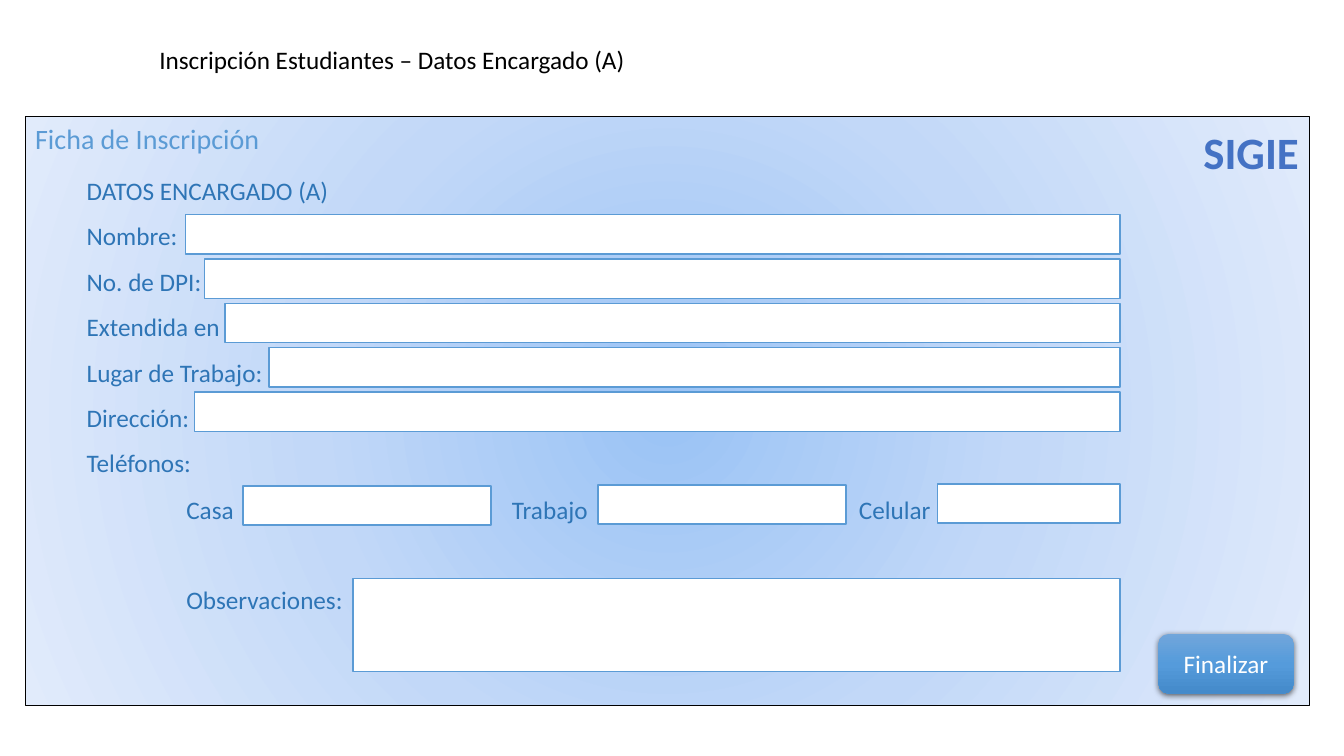
from lxml import etree
from pptx import Presentation
from pptx import util as u
from pptx.dml.color import RGBColor
from pptx.enum import shapes, text
from pptx.oxml import ns

COLORS = {
    "black": "000000", "white": "FFFFFF", "brand": "4472C4",
    "heading": "5B9BD5", "label": "2E75B6", "border": "5B9BD5",
}
PANEL_STOPS = [(0, "9AC3F5"), (50, "C2D8F8"), (100, "E1EBFB")]
BUTTON_STOPS = [(0, "71A6DB"), (50, "559BDB"), (100, "448ACA")]

TITLE = "Inscripción Estudiantes – Datos Encargado (A)"
HEADING = "Ficha de Inscripción"
BRAND = "SIGIE"
BUTTON = "Finalizar"
LABELS = [
    "DATOS ENCARGADO (A)",
    "Nombre:",
    "No. de DPI:",
    "Extendida en",
    "Lugar de Trabajo:",
    "Dirección:",
    "Teléfonos:",
]
INDENTED_LABELS = [
    ("Casa", 175, 485, 70),
    ("Trabajo", 498, 485, 100),
    ("Celular", 842, 485, 95),
    ("Observaciones:", 175, 575, 180),
]
LABEL_HEIGHT = 40

FIELD_LEFTS = [184, 203, 223, 267, 193]
FIELD_TOP, FIELD_PITCH, FIELD_HEIGHT, FIELD_RIGHT = 213, 44, 39, 1111
PHONE_FIELDS = [(241, 482, 246), (593, 481, 246), (930, 480, 181)]
NOTES_FIELD = (350, 574, 761, 92)

EMU_PER_PX = 9144


def px(length):
    return u.Emu(length * EMU_PER_PX)


def rgb(name):
    return RGBColor.from_string(COLORS[name])


def place(shape, left, top, width, height):
    shape.left, shape.top = px(left), px(top)
    shape.width, shape.height = px(width), px(height)


def add_child(parent, tag, **attributes):
    child = etree.SubElement(parent, ns.qn(tag))
    for name, value in attributes.items():
        child.set(name, str(value))
    return child


def write(shape, lines, size=18, color="label", bold=False, align="LEFT",
          anchor="TOP", wrap=True, grow=True, spacing=None):
    frame = shape.text_frame
    frame.word_wrap = wrap
    frame.auto_size = (text.MSO_AUTO_SIZE.SHAPE_TO_FIT_TEXT if grow
                       else text.MSO_AUTO_SIZE.NONE)
    frame.vertical_anchor = getattr(text.MSO_ANCHOR, anchor)
    for index, line in enumerate(lines):
        paragraph = frame.add_paragraph() if index else frame.paragraphs[0]
        properties = paragraph._p.get_or_add_pPr()
        properties.set("marL", "0")
        properties.set("indent", "0")
        add_child(properties, "a:buNone")
        paragraph.alignment = getattr(text.PP_ALIGN, align)
        paragraph.space_before = u.Pt(0)
        if spacing:
            paragraph.line_spacing = spacing
        run = paragraph.add_run()
        run.text = line
        run.font.name = "Calibri"
        run.font.size = u.Pt(size)
        run.font.bold = bold
        run.font.color.rgb = rgb(color)
    return frame


def add_text(slide, area, line, **style):
    return write(slide.shapes.add_textbox(*map(px, area)), [line], **style)


def add_box(slide, area, kind="RECTANGLE", border=None, weight=1):
    shape = slide.shapes.add_shape(getattr(shapes.MSO_SHAPE, kind),
                                   *map(px, area))
    shape.shadow.inherit = False
    if border:
        shape.line.color.rgb = rgb(border)
        shape.line.width = u.Pt(weight)
    else:
        shape.line.fill.background()
    return shape


def fill_gradient(shape, stops, circular=False):
    gradient = etree.Element(ns.qn("a:gradFill"), rotWithShape="1")
    stop_list = add_child(gradient, "a:gsLst")
    for position, color in stops:
        stop = add_child(stop_list, "a:gs", pos=position * 1000)
        add_child(stop, "a:srgbClr", val=color)
    if circular:
        center = add_child(gradient, "a:path", path="circle")
        add_child(center, "a:fillToRect", l=50000, t=50000, r=50000, b=50000)
    else:
        add_child(gradient, "a:lin", ang=5400000, scaled=0)
    shape.element.spPr.find(ns.qn("a:prstGeom")).addnext(gradient)


def add_shadow(shape):
    effects = shape.element.spPr.find(ns.qn("a:effectLst"))
    shadow = add_child(effects, "a:outerShdw", blurRad=u.Pt(4.5),
                       dist=u.Pt(1.5), dir=5400000, algn="ctr", rotWithShape=0)
    color = add_child(shadow, "a:srgbClr", val=COLORS["black"])
    add_child(color, "a:alpha", val=63000)


def outline_text(run):
    line = etree.Element(ns.qn("a:ln"), w=str(u.Pt(0.75)))
    fill = add_child(line, "a:solidFill")
    add_child(fill, "a:srgbClr", val=COLORS["white"])
    run.font._element.insert(0, line)


def main():
    presentation = Presentation()
    presentation.slide_width, presentation.slide_height = px(1333), px(750)
    slide = presentation.slides.add_slide(presentation.slide_layouts[1])
    title, labels = slide.placeholders

    panel = add_box(slide, (25, 116, 1274, 584), border="black", weight=0.75)
    fill_gradient(panel, PANEL_STOPS, circular=True)
    title.element.addprevious(panel.element)

    place(title, 148, 39, 487, 40)
    write(title, [TITLE], color="black", wrap=False)

    place(labels, 76, 154, 1100, 330)
    write(labels, LABELS, spacing=1.5)

    button = add_box(slide, (1149, 629, 134, 59), "ROUNDED_RECTANGLE")
    fill_gradient(button, BUTTON_STOPS)
    add_shadow(button)
    write(button, [BUTTON], color="white", align="CENTER", anchor="MIDDLE",
          grow=False)

    brand = add_text(slide, (1183, 119, 116, 64), BRAND, size=32,
                     color="brand", bold=True, align="CENTER", wrap=False)
    outline_text(brand.paragraphs[0].runs[0])

    add_text(slide, (25, 116, 448, 44), HEADING, size=20, color="heading")

    for label, left, top, width in INDENTED_LABELS:
        add_text(slide, (left, top, width, LABEL_HEIGHT), label)

    fields = [(left, FIELD_TOP + row * FIELD_PITCH, FIELD_RIGHT - left,
               FIELD_HEIGHT) for row, left in enumerate(FIELD_LEFTS)]
    fields += [(*phone, FIELD_HEIGHT) for phone in PHONE_FIELDS]
    for area in fields + [NOTES_FIELD]:
        field = add_box(slide, area, border="border")
        field.fill.solid()
        field.fill.fore_color.rgb = rgb("white")

    presentation.save("out.pptx")


if __name__ == "__main__":
    main()
